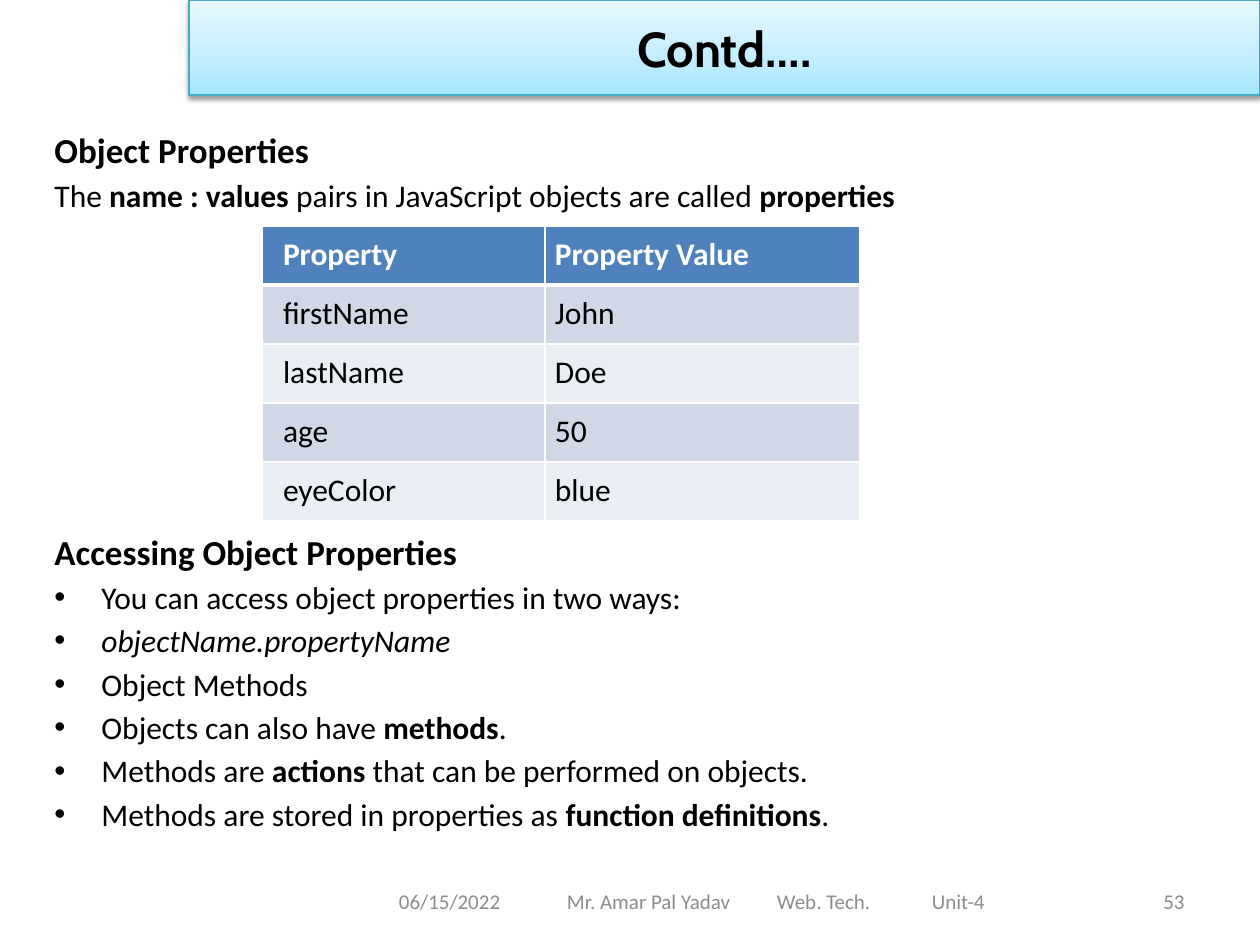
import pptx
import pptx.util
import pptx.oxml
import pptx.dml.color
import pptx.enum.shapes
import pptx.enum.text
from lxml import etree

RGB = pptx.dml.color.RGBColor
Pt = pptx.util.Pt
ALIGN = pptx.enum.text.PP_ALIGN
MID = pptx.enum.text.MSO_ANCHOR.MIDDLE
NS = 'xmlns:a="http://schemas.openxmlformats.org/drawingml/2006/main"'
PX = 914400 / 126

BLACK = RGB(0x00, 0x00, 0x00)
WHITE = RGB(0xFF, 0xFF, 0xFF)
GREY = RGB(0x8C, 0x8C, 0x8C)
TEAL = RGB(0x46, 0xAA, 0xC5)
BLUE = RGB(0x4F, 0x81, 0xBD)
BANDS = [RGB(0xE9, 0xED, 0xF4), RGB(0xD0, 0xD8, 0xE8)]

HEAD = {"name": "Calibri", "size": Pt(20), "bold": True}
BODY = {"name": "Calibri", "size": Pt(18), "bold": False}
ITAL = {**BODY, "italic": True}
FOOT = {"name": "Calibri", "size": Pt(12)}
TITLE = {"name": "Cabin", "size": Pt(28), "bold": True}


def write(para, text, style, color=BLACK):
    """Fill a paragraph; text between asterisks is bold."""
    for i, part in enumerate(text.split("*")):
        if part:
            run = para.add_run()
            run.text = part
            for key, val in style.items():
                setattr(run.font, key, val)
            if i % 2:
                run.font.bold = True
            run.font.color.rgb = color


def add_box(*area):
    """Add a wrapping text box and return its frame."""
    frame = slide.shapes.add_textbox(*[round(n * PX) for n in area]).text_frame
    frame.word_wrap = True
    return frame


deck = pptx.Presentation()
deck.slide_width = round(1260 * PX)
deck.slide_height = round(945 * PX)
slide = deck.slides.add_slide(deck.slide_layouts[6])

# Body text above and below the table
top = [
    ("Object Properties", HEAD, False),
    ("The *name : values* pairs in JavaScript objects are called *properties*", BODY, False),
]
low = [
    ("Accessing Object Properties", HEAD, False),
    ("You can access object properties in two ways:", BODY, True),
    ("objectName.propertyName", ITAL, True),
    ("Object Methods", BODY, True),
    ("Objects can also have *methods*.", BODY, True),
    ("Methods are *actions* that can be performed on objects.", BODY, True),
    ("Methods are stored in properties as *function definitions*.", BODY, True),
]
for lines, y, high in [(top, 122, 100), (low, 524, 330)]:
    frame = add_box(42, y, 1176, high)
    for i, (text, style, dot) in enumerate(lines):
        para = frame.add_paragraph() if i else frame.paragraphs[0]
        if i:
            para.space_before = Pt(3.2)
        if dot:
            props = para._p.get_or_add_pPr()
            props.set("marL", str(round(47 * PX)))
            props.set("indent", str(round(-47 * PX)))
            props.append(pptx.oxml.parse_xml(f'<a:buFont {NS} typeface="Arial"/>'))
            props.append(pptx.oxml.parse_xml(f'<a:buChar {NS} char="•"/>'))
        write(para, text, style)

# Footer, spaced with tab stops
frame = add_box(346, 876, 693, 50)
frame.vertical_anchor = MID
frame.margin_left = round(53 * PX)
frame.margin_right = 0
para = frame.paragraphs[0]
tabs = etree.SubElement(para._p.get_or_add_pPr(), pptx.oxml.ns.qn("a:tabLst"))
for stop in (168, 378, 533):
    tabs.append(pptx.oxml.parse_xml(f'<a:tab {NS} pos="{round(stop * PX)}" algn="l"/>'))
write(para, "06/15/2022\tMr. Amar Pal Yadav\tWeb. Tech.\tUnit-4", FOOT, GREY)

# Slide number
frame = add_box(903, 876, 294, 50)
frame.vertical_anchor = MID
frame.paragraphs[0].alignment = ALIGN.RIGHT
write(frame.paragraphs[0], "53", FOOT, GREY)

# Title bar with gradient and soft shadow
bar = slide.shapes.add_shape(
    pptx.enum.shapes.MSO_SHAPE.RECTANGLE,
    *[round(n * PX) for n in (189, 0, 1071, 95)])
bar.line.color.rgb = TEAL
bar.line.width = Pt(0.75)
bar.shadow.inherit = False
stops = "".join(
    f'<a:gs pos="{pos}000"><a:srgbClr val="{tint}"/></a:gs>'
    for pos, tint in [(0, "A7E6FF"), (35, "C1EDFF"), (100, "E7F8FF")])
shape = bar.element.spPr
shape.insert(2, pptx.oxml.parse_xml(
    f'<a:gradFill {NS} rotWithShape="1"><a:gsLst>{stops}</a:gsLst>'
    '<a:lin ang="16200000" scaled="0"/></a:gradFill>'))
shape.find(pptx.oxml.ns.qn("a:effectLst")).append(pptx.oxml.parse_xml(
    f'<a:outerShdw {NS} blurRad="{Pt(3.1)}" dist="{Pt(1.6)}" dir="5400000" rotWithShape="0">'
    '<a:srgbClr val="000000"><a:alpha val="38000"/></a:srgbClr></a:outerShdw>'))
bar.text_frame.vertical_anchor = MID
bar.text_frame.paragraphs[0].alignment = ALIGN.CENTER
write(bar.text_frame.paragraphs[0], "Contd….", TITLE)

# Property table
rows = [
    ("Property", "Property Value"),
    ("firstName", "John"),
    ("lastName", "Doe"),
    ("age", "50"),
    ("eyeColor", "blue"),
]
table = slide.shapes.add_table(
    len(rows), 2, *[round(n * PX) for n in (262, 226, 598, 295)]).table
for col, wide in zip(table.columns, (283, 315)):
    col.width = round(wide * PX)
for r, row in enumerate(rows):
    table.rows[r].height = round(59 * PX)
    for c, text in enumerate(row):
        cell = table.cell(r, c)
        pads = {"margin_left": 10 if c else 21, "margin_right": 10,
                "margin_top": 10, "margin_bottom": 10}
        for key, val in pads.items():
            setattr(cell, key, round(val * PX))
        cell.fill.solid()
        cell.fill.fore_color.rgb = BANDS[r % 2] if r else BLUE
        thick = {"L": 1, "R": 1, "T": 3 if r == 1 else 1, "B": 1 if r else 3}
        for i, (side, size) in enumerate(thick.items()):
            cell._tc.get_or_add_tcPr().insert(i, pptx.oxml.parse_xml(
                f'<a:ln{side} {NS} w="{Pt(size)}"><a:solidFill>'
                f'<a:srgbClr val="{WHITE}"/></a:solidFill></a:ln{side}>'))
        style = BODY if r else {**BODY, "bold": True}
        write(cell.text_frame.paragraphs[0], text, style, BLACK if r else WHITE)

deck.save("out.pptx")
